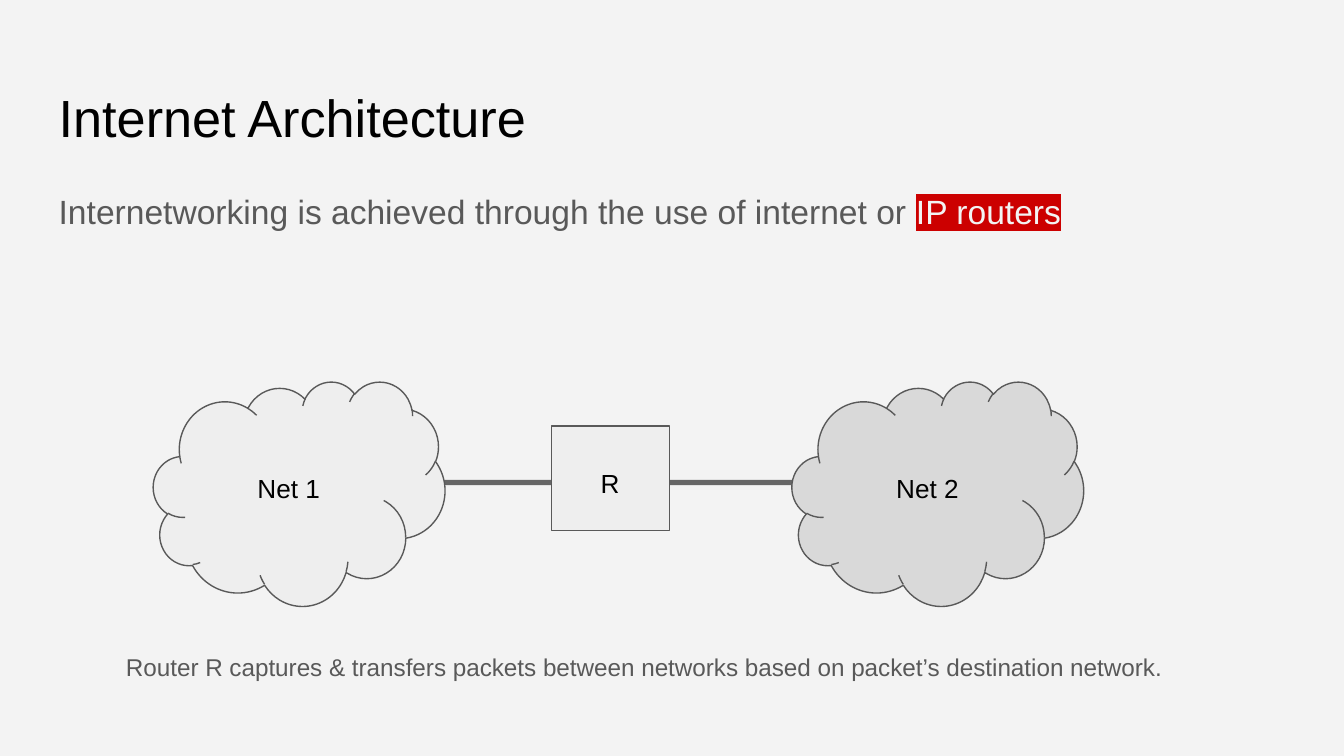
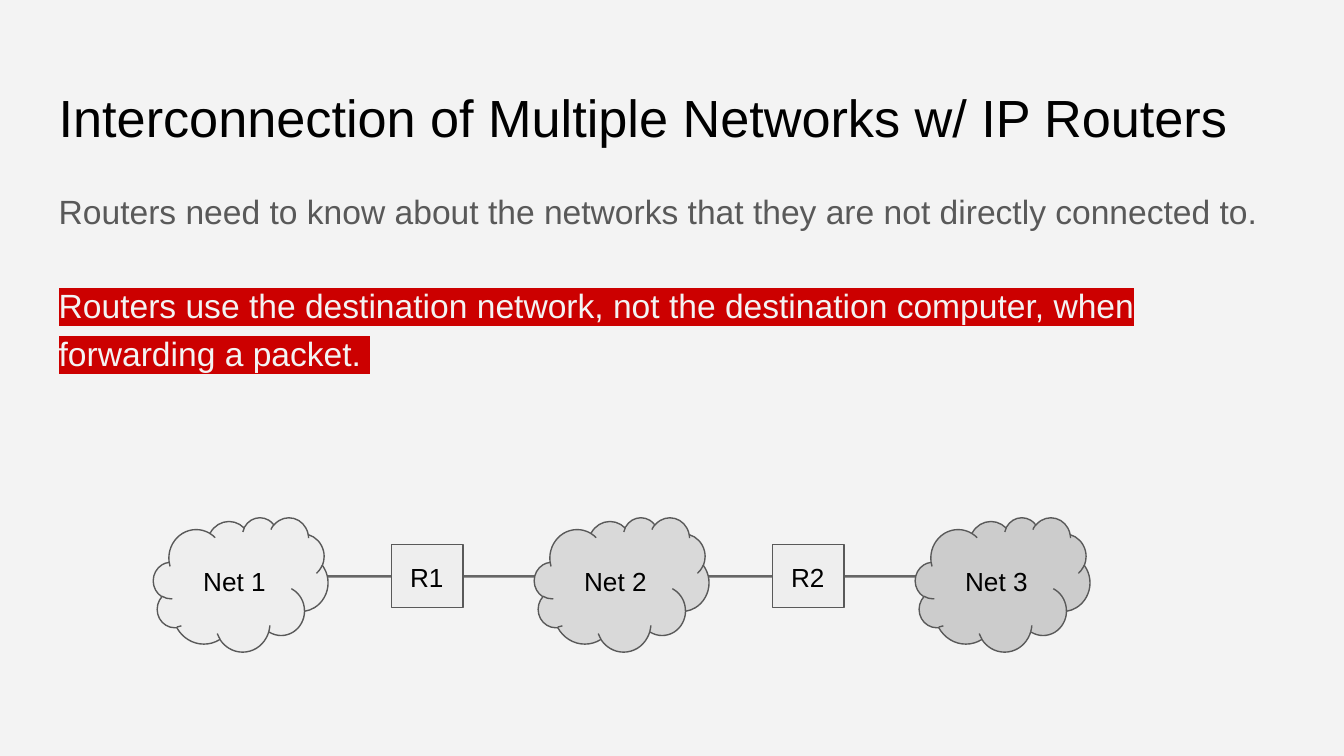
"""Build two slides on connecting networks with IP routers."""
from lxml import etree
from pptx import Presentation
from pptx import util as u
from pptx.dml.color import RGBColor
from pptx.enum import shapes, text
from pptx.oxml.ns import qn

Cm, Pt = u.Cm, u.Pt
FONT = "Arial"
PAPER = RGBColor(0xF3, 0xF3, 0xF3)
BLACK = RGBColor(0x00, 0x00, 0x00)
GREY = RGBColor(0x59, 0x59, 0x59)
LINK = RGBColor(0x66, 0x66, 0x66)
RED = RGBColor(0xCC, 0x00, 0x00)
PALE = RGBColor(0xEE, 0xEE, 0xEE)
NET_FILLS = [PALE, RGBColor(0xD9, 0xD9, 0xD9), RGBColor(0xCC, 0xCC, 0xCC)]
TITLE_BOX = (0.86, 1.24, 23.67, 1.6)
NET_LEFT = 2.9

# Chain boxes are (offset from the network on the left, top, width, height).
SLIDES = [
    {
        "title": "Internet Architecture",
        "texts": [
            {"box": (0.86, 3.2, 23.67, 1.98), "size": 18, "paragraphs": [
                [("Internetworking is achieved through the use of internet or ", False),
                 ("IP routers", True)]]},
            {"box": (2.13, 11.96, 23.27, 1.27), "size": 13, "paragraphs": [
                [("Router R captures & transfers packets between networks "
                  "based on packet’s destination network.", False)]]},
        ],
        "nets": ["Net 1", "Net 2"],
        "routers": ["R"],
        "pitch": 12.07,
        "net": (0, 7.21, 5.51, 4.24),
        "link": (3.73, 9.07, 9.86, 0.1),
        "router": (7.52, 8.05, 2.24, 1.98),
        "label": (8.2, 8.59, 1.09, 1.07),
    },
    {
        "title": "Interconnection of Multiple Networks w/ IP Routers",
        "texts": [
            {"box": (0.86, 3.2, 23.67, 2.18), "size": 18, "paragraphs": [
                [("Routers need to know about the networks that they are "
                  "not directly connected to.", False)],
                [("Routers use the destination network, not the destination "
                  "computer, when forwarding a packet. ", True)]]},
        ],
        "nets": ["Net 1", "Net 2", "Net 3"],
        "routers": ["R1", "R2"],
        "pitch": 7.2,
        "net": (0, 9.78, 3.3, 2.54),
        "link": (2.24, 10.87, 5.89, 0.05),
        "router": (4.5, 10.29, 1.35, 1.19),
        "label": (4.6, 10.36, 1.19, 0.64),
    },
]


def cms(box):
    return [Cm(v) for v in box]


def add_run(p, words, size, color, highlight=None):
    r = p.add_run()
    r.text = words
    r.font.size = Pt(size)
    r.font.color.rgb = color
    if highlight is not None:
        mark = etree.Element(qn("a:highlight"))
        etree.SubElement(mark, qn("a:srgbClr"), val=str(highlight))
        r.font.fill._xPr.find(qn("a:solidFill")).addnext(mark)
    r.font.name = FONT


def set_frame(sp, anchor=text.MSO_ANCHOR.TOP):
    tf = sp.text_frame
    tf.word_wrap = True
    tf.auto_size = text.MSO_AUTO_SIZE.NONE
    tf.vertical_anchor = anchor
    tf.margin_left = tf.margin_right = tf.margin_top = tf.margin_bottom = Cm(0.25)
    return tf


def add_title(s, words):
    sp = s.shapes.title
    sp.left, sp.top, sp.width, sp.height = cms(TITLE_BOX)
    p = set_frame(sp).paragraphs[0]
    p.alignment = text.PP_ALIGN.LEFT
    p.line_spacing = 1.1
    add_run(p, words, 28, BLACK)


def add_text(s, box, size, paragraphs):
    tf = set_frame(s.shapes.add_textbox(*cms(box)))
    for i, runs in enumerate(paragraphs):
        p = tf.add_paragraph() if i else tf.paragraphs[0]
        p.line_spacing = 1.2
        p.space_after = Pt(24.7)
        for words, marked in runs:
            add_run(p, words, size, PAPER if marked else GREY, RED if marked else None)


def add_shape(s, kind, box, fill, outlined=True):
    sp = s.shapes.add_shape(kind, *cms(box))
    sp.shadow.inherit = False
    sp.fill.solid()
    sp.fill.fore_color.rgb = fill
    if outlined:
        sp.line.color.rgb = GREY
        sp.line.width = Pt(0.75)
    else:
        sp.line.fill.background()
    return sp


def add_chain(s, spec_of):
    def place(part, i):
        dx, *rest = spec_of[part]
        return (NET_LEFT + i * spec_of["pitch"] + dx, *rest)

    rect, cloud = shapes.MSO_SHAPE.RECTANGLE, shapes.MSO_SHAPE.CLOUD
    for i in range(len(spec_of["routers"])):
        add_shape(s, rect, place("link", i), LINK, outlined=False)
    for i, (name, fill) in enumerate(zip(spec_of["nets"], NET_FILLS)):
        sp = add_shape(s, cloud, place("net", i), fill)
        p = set_frame(sp, text.MSO_ANCHOR.MIDDLE).paragraphs[0]
        p.alignment = text.PP_ALIGN.CENTER
        add_run(p, name, 14, BLACK)
    for i, name in enumerate(spec_of["routers"]):
        add_shape(s, rect, place("router", i), PALE)
        label = s.shapes.add_textbox(*cms(place("label", i)))
        add_run(set_frame(label).paragraphs[0], name, 14, BLACK)


def main():
    prs = Presentation()
    prs.slide_width, prs.slide_height = Cm(25.4), Cm(14.29)
    background = prs.slide_master.background.fill
    background.solid()
    background.fore_color.rgb = PAPER
    for content in SLIDES:
        s = prs.slides.add_slide(prs.slide_layouts[5])
        add_title(s, content["title"])
        for block in content["texts"]:
            add_text(s, **block)
        add_chain(s, content)
    prs.save("out.pptx")


if __name__ == "__main__":
    main()
